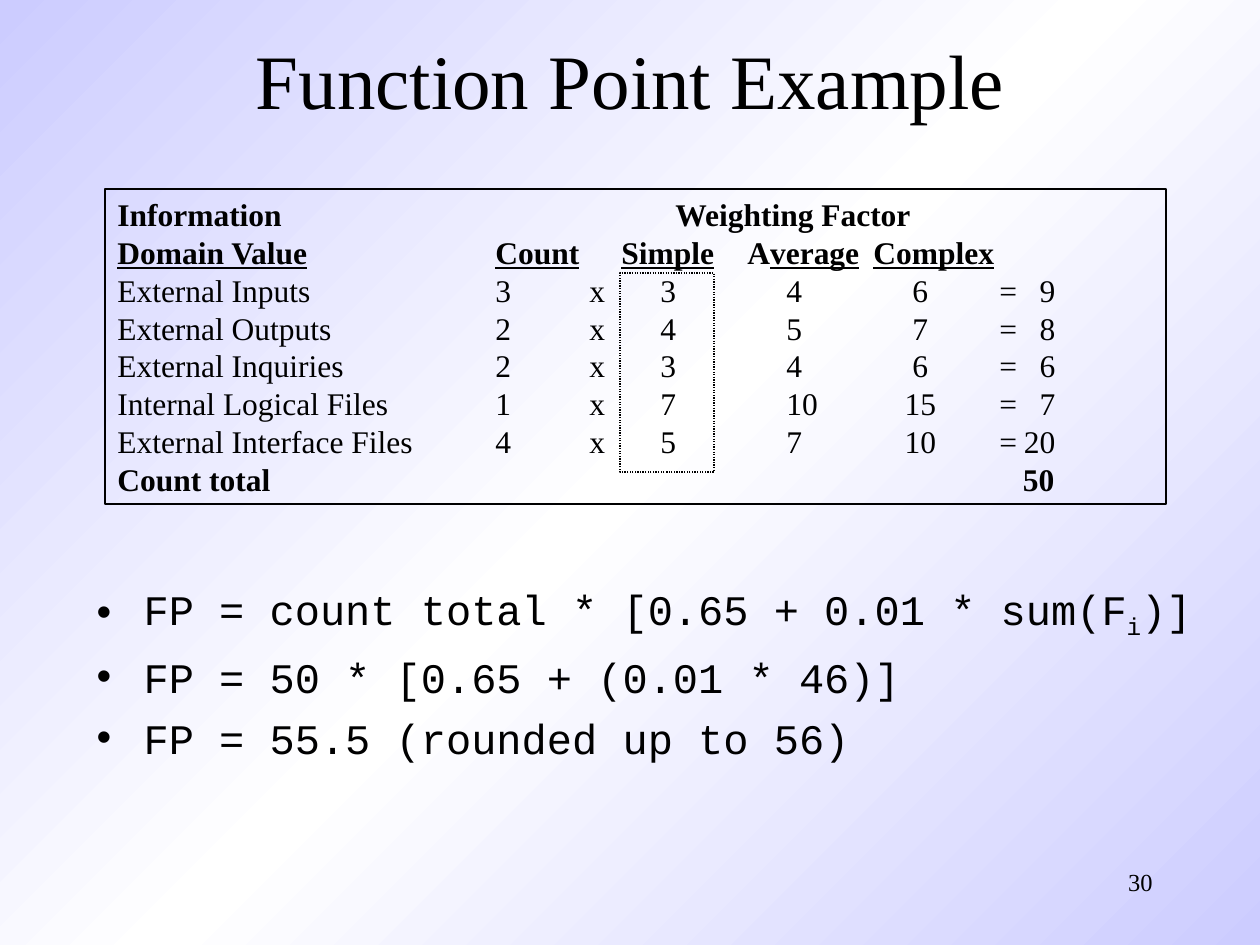
import copy
from dataclasses import dataclass

import lxml.etree
import pptx
import pptx.dml.color
import pptx.enum.dml
import pptx.enum.shapes
import pptx.enum.text
import pptx.oxml.ns
import pptx.util

SCALE = 914400 / 126  # EMU in one px
qn = pptx.oxml.ns.qn
Align = pptx.enum.text.PP_ALIGN
Anchor = pptx.enum.text.MSO_ANCHOR
Fit = pptx.enum.text.MSO_AUTO_SIZE


@dataclass(frozen=True)
class Theme:
    ink: str = "000000"
    tint: str = "CCCCFF"
    glow: str = "FFFFFF"
    serif: str = "Times New Roman"
    mono: str = "Courier New"
    title: int = 44
    body: int = 24
    grid: int = 18
    note: int = 14


@dataclass(frozen=True)
class Box:
    left: int
    top: int
    width: int
    height: int

    def emu(self) -> list[int]:
        return [px(n) for n in (self.left, self.top, self.width, self.height)]


@dataclass(frozen=True)
class Row:
    name: str
    count: int
    simple: int
    average: int
    complex: int

    def total(self) -> int:
        return self.count * self.simple

    def line(self) -> str:
        cells = (self.name, self.count, "x", self.simple, self.average,
                 self.complex, "=", self.total())
        return "\t".join(str(cell) for cell in cells)


THEME = Theme()

ROWS = [
    Row("External Inputs", 3, 3, 4, 6),
    Row("External Outputs", 2, 4, 5, 7),
    Row("External Inquiries", 2, 3, 4, 6),
    Row("Internal Logical Files", 1, 7, 10, 15),
    Row("External Interface Files", 4, 5, 7, 10),
]

# Tab stops in px from the left edge of the text
TOP_TABS = [(558, "l")]
HEAD_TABS = [(378, "l"), (504, "l"), (630, "l"), (756, "l")]
ROW_TABS = [(378, "l"), (472, "l"), (543, "l"), (669, "l"),
            (803, "ctr"), (882, "l"), (938, "r")]
SUM_TABS = [(937, "r")]


def px(n: int) -> int:
    return round(n * SCALE)


def color(code: str) -> pptx.dml.color.RGBColor:
    return pptx.dml.color.RGBColor.from_string(code)


def put(para, text: str, *, size: int, font: str = THEME.serif,
        bold: bool = False, under: bool = False, sub: bool = False,
        align=None) -> None:
    """Add one run of text to a paragraph."""
    run = para.add_run()
    run.text = text
    run.font.size = pptx.util.Pt(size)
    run.font.name = font
    run.font.bold = bold
    run.font.underline = under
    run.font.color.rgb = color(THEME.ink)
    if sub:
        run._r.get_or_add_rPr().set("baseline", "-25000")
    if align is not None:
        para.alignment = align


def set_tabs(para, stops: list[tuple[int, str]]) -> None:
    tabs = lxml.etree.SubElement(para._p.get_or_add_pPr(), qn("a:tabLst"))
    for pos, kind in stops:
        lxml.etree.SubElement(tabs, qn("a:tab"), pos=str(px(pos)), algn=kind)


def set_bullet(para) -> None:
    props = para._p.get_or_add_pPr()
    props.set("marL", str(px(47)))
    props.set("indent", str(px(-47)))
    lxml.etree.SubElement(props, qn("a:buChar"), char="•")


def next_para(frame, index: int):
    return frame.add_paragraph() if index else frame.paragraphs[0]


def place(shape, box: Box) -> None:
    shape.left, shape.top, shape.width, shape.height = box.emu()


def add_rect(slide, box: Box):
    rect = slide.shapes.add_shape(
        pptx.enum.shapes.MSO_SHAPE.RECTANGLE, *box.emu())
    rect.shadow.inherit = False
    rect.fill.background()
    rect.line.color.rgb = color(THEME.ink)
    rect.line.width = pptx.util.Pt(0.75)
    return rect


def paint_back(slide) -> None:
    fill = slide.background.fill
    fill.gradient()
    fill.gradient_angle = 315
    stops = slide.element.find(".//" + qn("a:gsLst"))
    stops.append(copy.deepcopy(stops[0]))
    shades = (THEME.tint, THEME.glow, THEME.tint)
    for index, (stop, shade) in enumerate(zip(fill.gradient_stops, shades)):
        stop.color.rgb = color(shade)
        stop.position = index / 2


def add_grid(slide) -> None:
    frame = add_rect(slide, Box(105, 189, 1061, 315)).text_frame
    frame.word_wrap = True
    frame.auto_size = Fit.SHAPE_TO_FIT_TEXT
    frame.vertical_anchor = Anchor.TOP
    # Each line: tab stops, bold, and (text, underlined) pieces
    head = [("Domain Value", True), ("\t", False), ("Count", True),
            ("\t", False), ("Simple", True), ("\tA", False),
            ("verage", True), ("\t", False), ("Complex", True)]
    total = sum(row.total() for row in ROWS)
    lines = [
        (TOP_TABS, True, [("Information\tWeighting Factor", False)]),
        (HEAD_TABS, True, head),
        *[(ROW_TABS, False, [(row.line(), False)]) for row in ROWS],
        (SUM_TABS, True, [(f"Count total\t{total}", False)]),
    ]
    for index, (stops, bold, parts) in enumerate(lines):
        para = next_para(frame, index)
        set_tabs(para, stops)
        for text, under in parts:
            put(para, text, size=THEME.grid, bold=bold, under=under,
                align=Align.LEFT)


def add_list(shape) -> None:
    place(shape, Box(84, 577, 1124, 231))
    frame = shape.text_frame
    frame.auto_size = Fit.NONE
    # Each line: (text, subscript) pieces
    lines = [
        [("FP = count total * [0.65 + 0.01 * sum(F", False),
         ("i", True), (")]", False)],
        [("FP = 50 * [0.65 + (0.01 * 46)]", False)],
        [("FP = 55.5 (rounded up to 56)", False)],
    ]
    for index, parts in enumerate(lines):
        para = next_para(frame, index)
        para.space_before = pptx.util.Pt(6)
        set_bullet(para)
        for text, sub in parts:
            put(para, text, size=THEME.body, font=THEME.mono, sub=sub)


def main() -> None:
    deck = pptx.Presentation()
    deck.slide_width, deck.slide_height = px(1260), px(945)
    slide = deck.slides.add_slide(deck.slide_layouts[1])
    paint_back(slide)

    # Slide number
    note = slide.shapes.add_textbox(*Box(903, 861, 262, 63).emu()).text_frame
    note.word_wrap = True
    put(note.paragraphs[0], "30", size=THEME.note, align=Align.RIGHT)

    # Title and formulas
    title = slide.shapes.title
    place(title, Box(95, 0, 1071, 158))
    title.text_frame.auto_size = Fit.NONE
    title.text_frame.vertical_anchor = Anchor.MIDDLE
    put(title.text_frame.paragraphs[0], "Function Point Example",
        size=THEME.title, align=Align.CENTER)
    add_list(slide.placeholders[1])

    # Dotted frame round the chosen weights, then the grid
    mark = add_rect(slide, Box(620, 273, 94, 199))
    mark.line.dash_style = pptx.enum.dml.MSO_LINE.ROUND_DOT
    add_grid(slide)

    deck.save("out.pptx")


if __name__ == "__main__":
    main()
